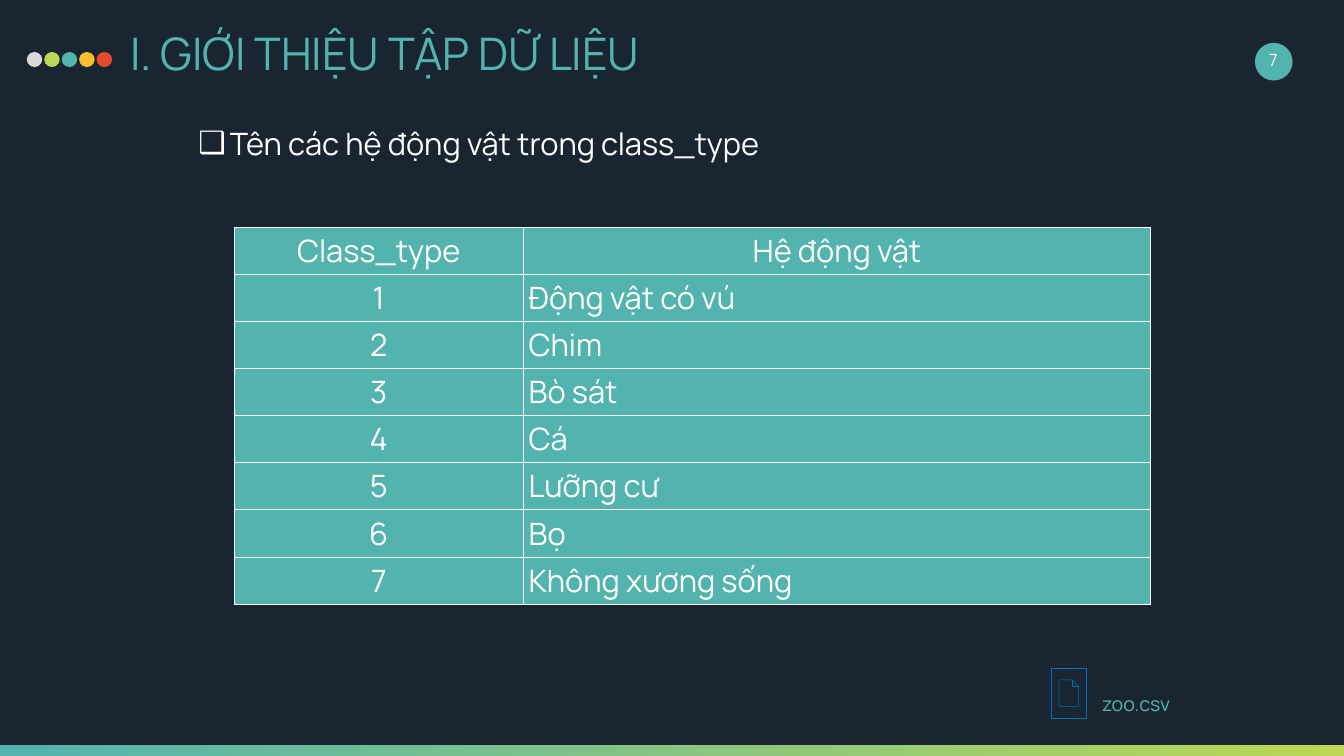
from lxml.etree import SubElement
from pptx import Presentation
from pptx.dml.color import RGBColor
from pptx.enum.shapes import MSO_SHAPE
from pptx.enum.text import MSO_ANCHOR, MSO_AUTO_SIZE, PP_ALIGN
from pptx.oxml.ns import qn
from pptx.util import Cm, Pt

TEAL, LIME, WHITE = "52B3AF", "BBD755", "FFFFFF"
DOTS = ["D9D9D9", LIME, TEAL, "FABD30", "E54C29"]
HEADER = ["Class_type", "Hệ động vật"]
CLASSES = ["Động vật có vú", "Chim", "Bò sát", "Cá", "Lưỡng cư", "Bọ", "Không xương sống"]


def rgb(value):
    return RGBColor.from_string(value)


class Deck:
    font = "Manrope"

    def __init__(self, slide):
        self.s = slide

    def format(self, tf, size, color, align=PP_ALIGN.LEFT):
        for p in tf.paragraphs:
            p.alignment = align
            p.space_before = Pt(0)
            for r in p.runs:
                r.font.name = self.font
                r.font.size = Pt(size)
                r.font.color.rgb = rgb(color)

    def frame(self, sp, text, size, color, align, anchor, margins):
        tf = sp.text_frame
        tf.text = text
        tf.word_wrap = True
        tf.auto_size = MSO_AUTO_SIZE.NONE
        tf.vertical_anchor = anchor
        tf.margin_left = tf.margin_right = Cm(margins[0])
        tf.margin_top = tf.margin_bottom = Cm(margins[1])
        self.format(tf, size, color, align)

    def text(self, box, text, size, color, align=PP_ALIGN.LEFT,
             anchor=MSO_ANCHOR.TOP, margins=(0.25, 0.13)):
        sp = self.s.shapes.add_textbox(*map(Cm, box))
        self.frame(sp, text, size, color, align, anchor, margins)

    def placeholder(self, sp, box, text, size, color, margins=(0.25, 0.13)):
        sp.left, sp.top, sp.width, sp.height = map(Cm, box)
        self.frame(sp, text, size, color, PP_ALIGN.LEFT, MSO_ANCHOR.TOP, margins)

    def bullets(self, sp, char, indent):
        for p in sp.text_frame.paragraphs:
            pPr = p._p.get_or_add_pPr()
            pPr.set("marL", str(Cm(indent)))
            pPr.set("indent", str(-Cm(indent)))
            SubElement(pPr, qn("a:buChar"), char=char)

    def shape(self, kind, box, fill=None, line=None):
        sp = self.s.shapes.add_shape(kind, *map(Cm, box))
        sp.shadow.inherit = False
        if fill:
            sp.fill.solid()
            sp.fill.fore_color.rgb = rgb(fill)
        else:
            sp.fill.background()
        if line:
            sp.line.color.rgb = rgb(line)
            sp.line.width = Pt(0.75)
        else:
            sp.line.fill.background()
        return sp

    def gradient_bar(self, box, colors):
        sp = self.shape(MSO_SHAPE.RECTANGLE, box)
        sp.fill.gradient()
        sp.fill.gradient_angle = 0
        for stop, color, position in zip(sp.fill.gradient_stops, colors, (0, 1)):
            stop.color.rgb = rgb(color)
            stop.position = position

    def borders(self, cell, color):
        tcPr = cell._tc.get_or_add_tcPr()
        for i, side in enumerate(("a:lnL", "a:lnR", "a:lnT", "a:lnB")):
            ln = tcPr.makeelement(qn(side), {"w": str(Pt(1))})
            SubElement(SubElement(ln, qn("a:solidFill")), qn("a:srgbClr"), val=color)
            tcPr.insert(i, ln)

    def table(self, left, top, widths, row_height, rows, size):
        gf = self.s.shapes.add_table(len(rows), len(widths), Cm(left), Cm(top),
                                     Cm(sum(widths)), Cm(row_height * len(rows)))
        for column, width in zip(gf.table.columns, widths):
            column.width = Cm(width)
        for i, row in enumerate(rows):
            for j, value in enumerate(row):
                cell = gf.table.cell(i, j)
                cell.text = value
                cell.fill.solid()
                cell.fill.fore_color.rgb = rgb(TEAL)
                centred = i == 0 or j == 0
                self.format(cell.text_frame, size, WHITE,
                            PP_ALIGN.CENTER if centred else PP_ALIGN.LEFT)
                for p in cell.text_frame.paragraphs:
                    for r in p.runs:
                        r.font.bold = False
                self.borders(cell, WHITE)


def main():
    prs = Presentation()
    prs.slide_width, prs.slide_height = Cm(67.74), Cm(38.1)
    s = prs.slides.add_slide(prs.slide_layouts[1])
    s.background.fill.solid()
    s.background.fill.fore_color.rgb = rgb("192632")
    deck = Deck(s)

    deck.gradient_bar((0, 37.57, 67.74, 0.53), (TEAL, LIME))
    for i, color in enumerate(DOTS):
        deck.shape(MSO_SHAPE.OVAL, (1.35 + 0.88 * i, 2.62, 0.78, 0.76), color)
    deck.shape(MSO_SHAPE.OVAL, (63.25, 2.16, 1.9, 1.9), TEAL)
    deck.text((62.69, 1.98, 2.97, 2.03), "7", 24, WHITE,
              PP_ALIGN.CENTER, MSO_ANCHOR.MIDDLE, (0.69, 0.33))

    deck.placeholder(s.shapes.title, (5.87, 0.94, 53.98, 4.06),
                     "I. GIỚI THIỆU TẬP DỮ LIỆU", 64, TEAL, (0.69, 0.33))
    body = s.placeholders[1]
    deck.placeholder(body, (9.75, 6.15, 30.48, 2.13),
                     "Tên các hệ động vật trong class_type", 44, WHITE)
    deck.bullets(body, "❑", 1.59)

    rows = [HEADER] + [[str(n), name] for n, name in enumerate(CLASSES, 1)]
    deck.table(11.79, 11.43, (14.6, 31.6), 2.37, rows, 44)

    deck.text((55.3, 34.75, 9.09, 1.45), "zoo.csv", 28, TEAL)
    deck.shape(MSO_SHAPE.ACTION_BUTTON_DOCUMENT, (52.98, 33.68, 1.78, 2.51), line="0070C0")
    prs.save("out.pptx")


if __name__ == "__main__":
    main()
